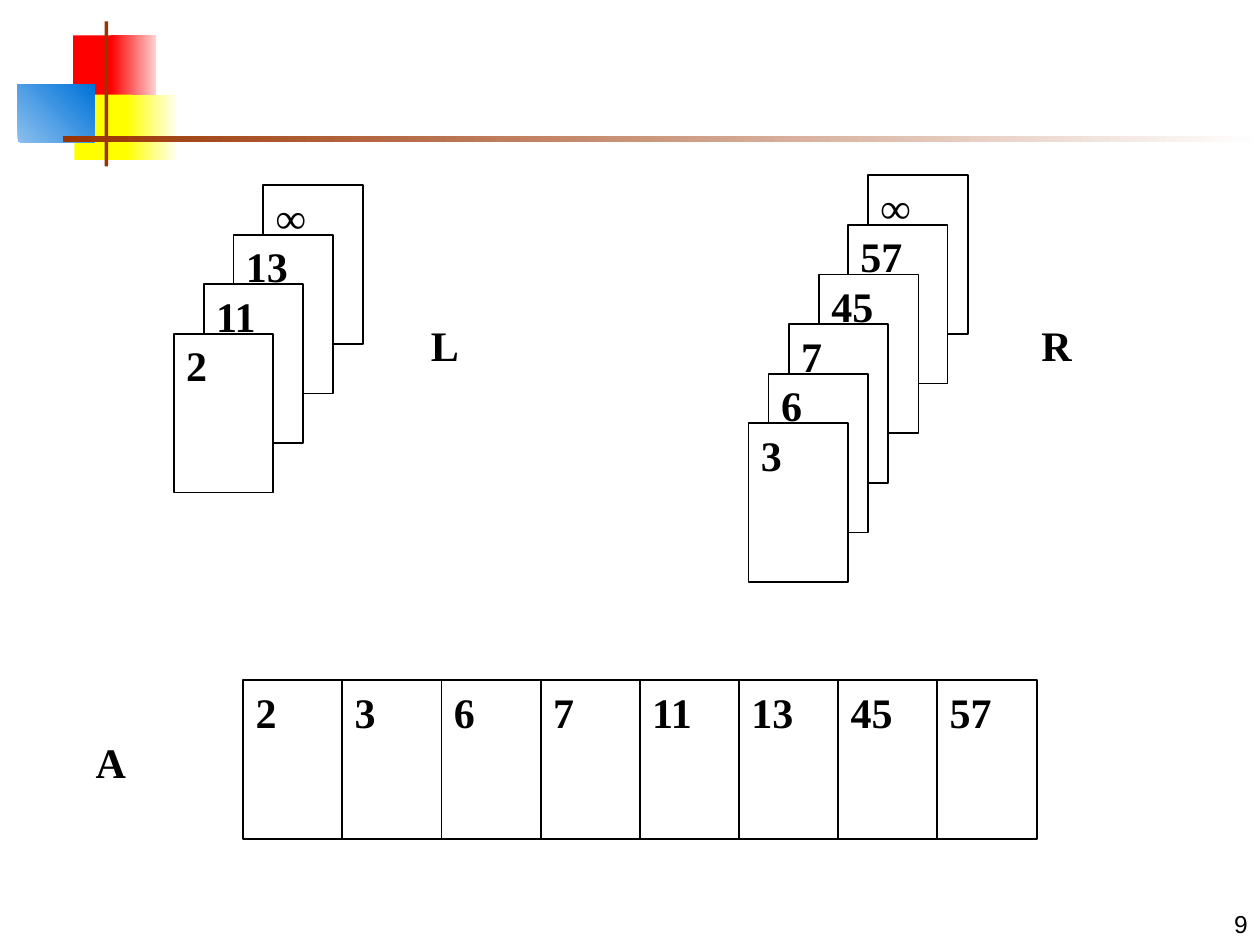
from pptx import Presentation
from pptx.dml.color import RGBColor
from pptx.enum import shapes, text
from pptx.util import Inches, Pt

BLACK = RGBColor(0, 0, 0)
WHITE = RGBColor(255, 255, 255)
RED = RGBColor(255, 0, 0)
PINK = RGBColor(255, 209, 209)
YELLOW = RGBColor(255, 255, 0)
IVORY = RGBColor(255, 255, 240)
LIGHT_BLUE = RGBColor(139, 191, 238)
BLUE = RGBColor(0, 115, 217)
BROWN = RGBColor(153, 51, 0)

CARD_WIDTH, CARD_HEIGHT = 0.79, 1.26

presentation = Presentation()
presentation.slide_width, presentation.slide_height = Inches(10), Inches(7.5)
slide = presentation.slides.add_slide(presentation.slide_layouts[6])


def add_rectangle(left, top, width, height, colors, angle=0):
    shape = slide.shapes.add_shape(
        shapes.MSO_SHAPE.RECTANGLE,
        Inches(left), Inches(top), Inches(width), Inches(height))
    shape.shadow.inherit = False
    shape.line.fill.background()
    if len(colors) == 1:
        shape.fill.solid()
        shape.fill.fore_color.rgb = colors[0]
    else:
        shape.fill.gradient()
        shape.fill.gradient_angle = angle
        for stop, color in zip(shape.fill.gradient_stops, colors):
            stop.color.rgb = color
    return shape


def write(shape, words, size=24, font="Times New Roman", bold=True,
          align=text.PP_ALIGN.LEFT, anchor=text.MSO_ANCHOR.TOP, wrap=True):
    frame = shape.text_frame
    frame.word_wrap = wrap
    frame.vertical_anchor = anchor
    paragraph = frame.paragraphs[0]
    paragraph.alignment = align
    run = paragraph.add_run()
    run.text = words
    run.font.size = Pt(size)
    run.font.name = font
    run.font.bold = bold
    run.font.color.rgb = BLACK


# Corner ornament and title rule
for left, top, width, height, colors, angle in [
    (0.58, 0.28, 0.35, 0.52, [RED], 0),
    (0.88, 0.28, 0.36, 0.52, [RED, PINK], 0),
    (0.59, 0.75, 0.46, 0.52, [YELLOW], 0),
    (1, 0.75, 0.4, 0.52, [YELLOW, IVORY], 0),
    (0.14, 0.67, 0.61, 0.46, [LIGHT_BLUE, BLUE], 45),
    (0.83, 0.17, 0.03, 1.15, [BROWN], 0),
    (0.5, 1.08, 9.5, 0.05, [BROWN, WHITE], 0),
]:
    add_rectangle(left, top, width, height, colors, angle)

# Cards: two stacks from back to front, then the merged row
left_stack = [(2.09 - 0.237 * i, 1.47 + 0.393 * i, value)
              for i, value in enumerate(["∞", "13", "11", "2"])]
right_lefts = [6.89, 6.73, 6.5, 6.26, 6.1, 5.94]
right_stack = [(left, 1.39 + 0.394 * i, value) for i, (left, value)
               in enumerate(zip(right_lefts, ["∞", "57", "45", "7", "6", "3"]))]
merged_row = [(1.93 + 0.787 * i, 5.4, value) for i, value
              in enumerate(["2", "3", "6", "7", "11", "13", "45", "57"])]

for left, top, value in left_stack + right_stack + merged_row:
    card = add_rectangle(left, top, CARD_WIDTH, CARD_HEIGHT, [WHITE])
    card.line.color.rgb = BLACK
    card.line.width = Pt(1)
    write(card, value)

# Array names
for name, left, top, width in [("L", 3.32, 2.49, 0.42),
                               ("R", 8.15, 2.49, 0.47),
                               ("A", 0.66, 5.8, 0.44)]:
    label = slide.shapes.add_textbox(
        Inches(left), Inches(top), Inches(width), Inches(0.5))
    write(label, name, align=text.PP_ALIGN.CENTER, wrap=False)

# Page number
page_number = slide.shapes.add_textbox(
    Inches(7.92), Inches(7), Inches(2.08), Inches(0.5))
write(page_number, "9", size=14, font="Arial", bold=False,
      align=text.PP_ALIGN.RIGHT, anchor=text.MSO_ANCHOR.BOTTOM)

presentation.save("out.pptx")
